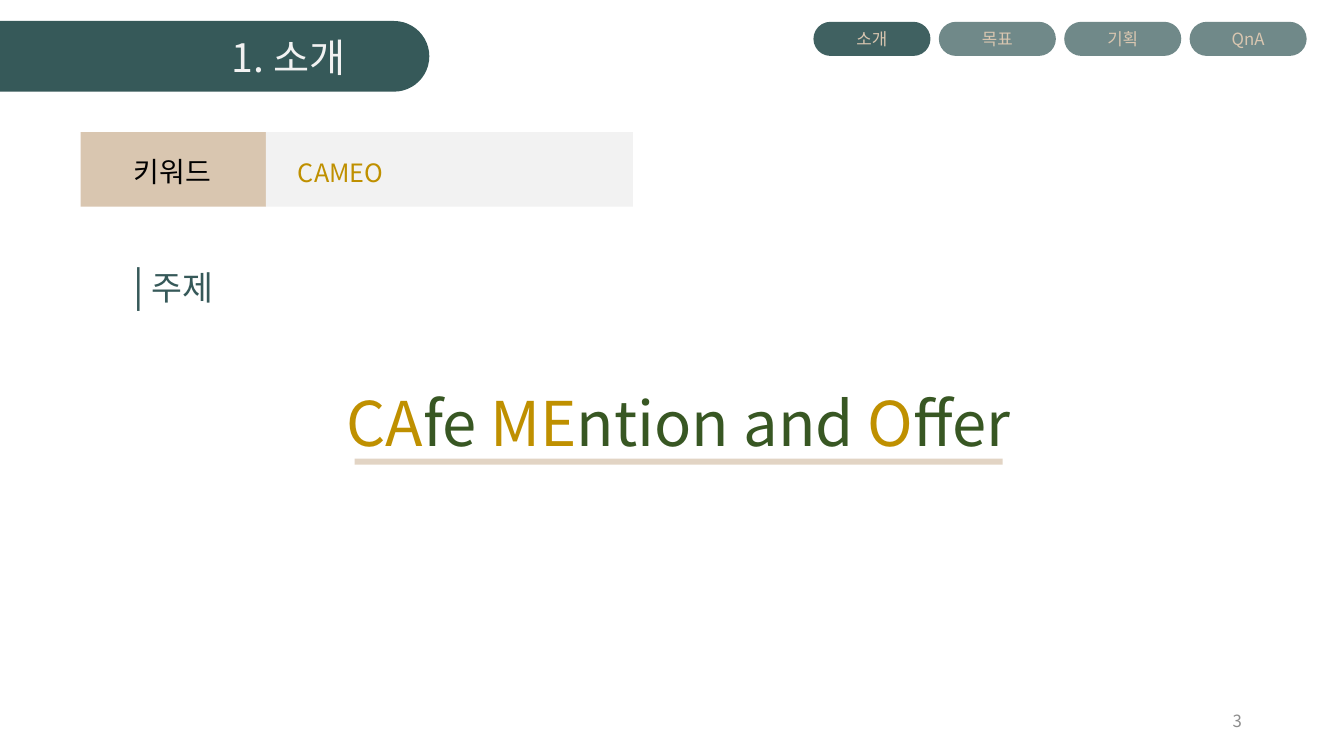
from lxml import etree
from pptx import Presentation
from pptx.dml.color import RGBColor
from pptx.enum.shapes import MSO_SHAPE
from pptx.enum.text import MSO_ANCHOR, MSO_AUTO_SIZE, PP_ALIGN
from pptx.oxml.ns import qn
from pptx.util import Cm, Pt

RECT, ROUND = MSO_SHAPE.RECTANGLE, MSO_SHAPE.ROUNDED_RECTANGLE
TOP, MIDDLE = MSO_ANCHOR.TOP, MSO_ANCHOR.MIDDLE
LEFT, CENTER, RIGHT = PP_ALIGN.LEFT, PP_ALIGN.CENTER, PP_ALIGN.RIGHT
FIXED = MSO_AUTO_SIZE.NONE

TEAL = RGBColor(0x36, 0x59, 0x59)
SAND = RGBColor(0xD9, 0xC6, 0xB0)
PALE = RGBColor(0xF2, 0xF2, 0xF2)
GOLD = RGBColor(0xBF, 0x90, 0x00)
GREEN = RGBColor(0x38, 0x57, 0x23)
GRAY = RGBColor(0x8C, 0x8C, 0x8C)
BLACK = RGBColor(0x00, 0x00, 0x00)
FONT = "Noto Sans CJK KR"


def write(frame, runs, align=LEFT, anchor=TOP):
    form = {"word_wrap": True, "auto_size": FIXED, "vertical_anchor": anchor}
    for name, value in form.items():
        setattr(frame, name, value)
    para = frame.paragraphs[0]
    para.alignment = align
    for text, size, color in runs:
        run = para.add_run()
        run.text = text
        for name, value in {"name": FONT, "size": Pt(size), "bold": False}.items():
            setattr(run.font, name, value)
        run.font.color.rgb = color
        props = run._r.get_or_add_rPr()
        etree.SubElement(props, qn("a:ea"), typeface=FONT)


def label(slide, box, runs, align=LEFT, anchor=TOP):
    frame = slide.shapes.add_textbox(*map(Cm, box)).text_frame
    write(frame, runs, align, anchor)


def block(slide, box, color, kind=RECT, alpha=100):
    shape = slide.shapes.add_shape(kind, *map(Cm, box))
    shape.shadow.inherit = False
    shape.fill.solid()
    shape.fill.fore_color.rgb = color
    shape.line.fill.background()
    if kind == ROUND:
        shape.adjustments[0] = 0.5
    if alpha < 100:
        tint = shape.element.spPr.find(".//" + qn("a:srgbClr"))
        etree.SubElement(tint, qn("a:alpha"), val=str(alpha * 1000))
    return shape


def banner(slide, box, text):
    left, top, width, height = box
    shape = block(slide, box, TEAL, ROUND)
    title = slide.shapes.title
    title.element.addprevious(shape.element)
    place = {"left": left + 7.04, "top": top + 0.18, "width": 3.66, "height": 1.45}
    for name, value in place.items():
        setattr(title, name, Cm(value))
    write(title.text_frame, [(text, 28, PALE)])


def menu(slide, box, names, active):
    left, top, width, height = box
    gap = 0.21
    pill = (width - gap * (len(names) - 1)) / len(names)
    for i, name in enumerate(names):
        alpha = 95 if name == active else 71
        spot = (left + i * (pill + gap), top, pill, height)
        shape = block(slide, spot, TEAL, ROUND, alpha)
        write(shape.text_frame, [(name, 12, SAND)], CENTER, MIDDLE)


def keyword(slide, box, head, value):
    left, top, width, height = box
    split = 4.67
    block(slide, (left, top, split, height), SAND)
    label(slide, (left + 0.33, top + 0.45, 3.96, 1.12), [(head, 20, BLACK)], CENTER)
    block(slide, (left + split, top, width - split, height), PALE)
    label(slide, (left + 5.23, top + 0.51, 8.1, 1.02), [(value, 18, GOLD)])


def slogan(slide, box, parts):
    left, top, width, height = box
    block(slide, (left + 0.46, top + 1.98, 16.33, 0.15), SAND, alpha=74)
    label(slide, box, [(text, 44, color) for text, color in parts])


def main():
    deck = Presentation()
    deck.slide_width, deck.slide_height = Cm(33.87), Cm(19.05)
    slide = deck.slides.add_slide(deck.slide_layouts[5])
    banner(slide, (-1.45, 0.53, 12.27, 1.78), "1. 소개")
    menu(slide, (20.5, 0.55, 12.43, 0.86), ["소개", "목표", "기획", "QnA"], "소개")
    label(slide, (23.93, 17.65, 7.62, 1.02), [("3", 12, GRAY)], RIGHT, MIDDLE)
    keyword(slide, (2.03, 3.33, 13.92, 1.88), "키워드", "CAMEO")
    label(slide, (3.12, 6.45, 8.28, 1.45), [("|", 28, TEAL), (" 주제", 24, TEAL)])
    slogan(slide, (8.48, 9.58, 18.31, 2.13), [
        ("CA", GOLD), ("fe ", GREEN), ("ME", GOLD),
        ("ntion and ", GREEN), ("O", GOLD), ("ffer", GREEN),
    ])
    deck.save("out.pptx")


if __name__ == "__main__":
    main()
